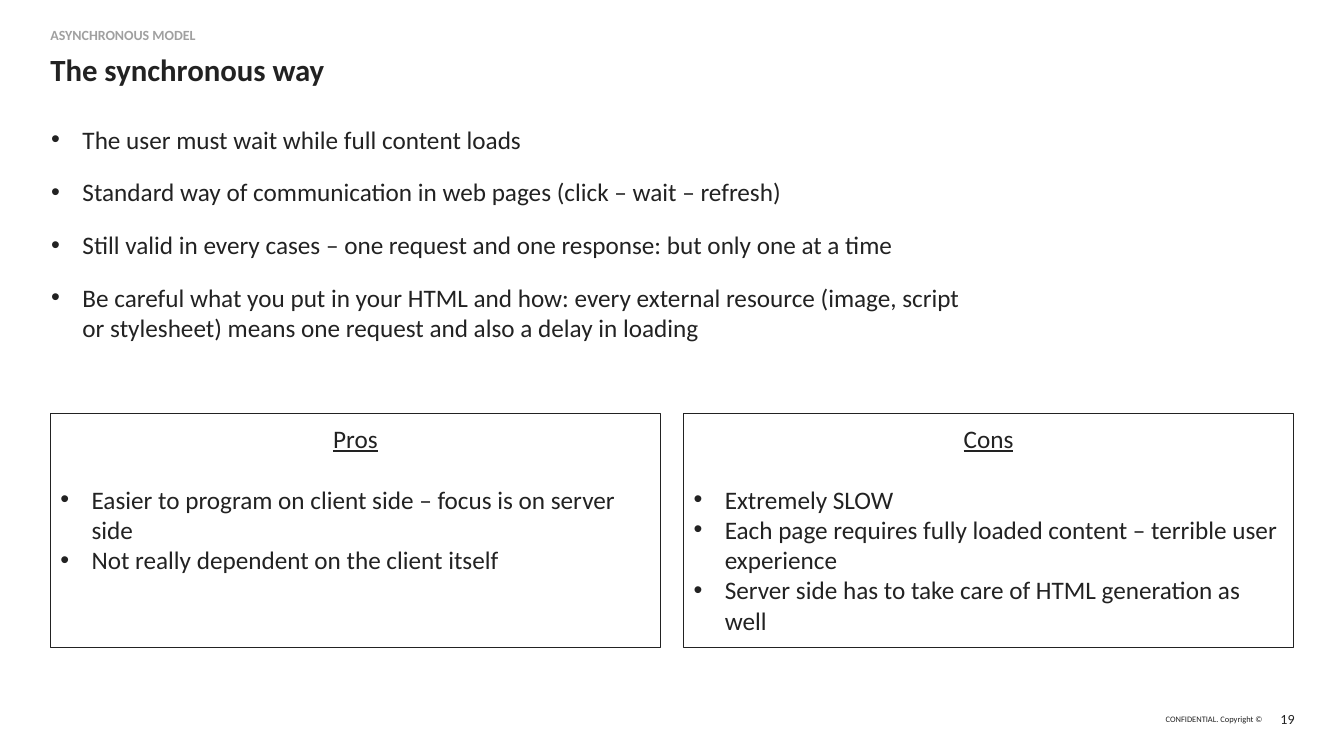
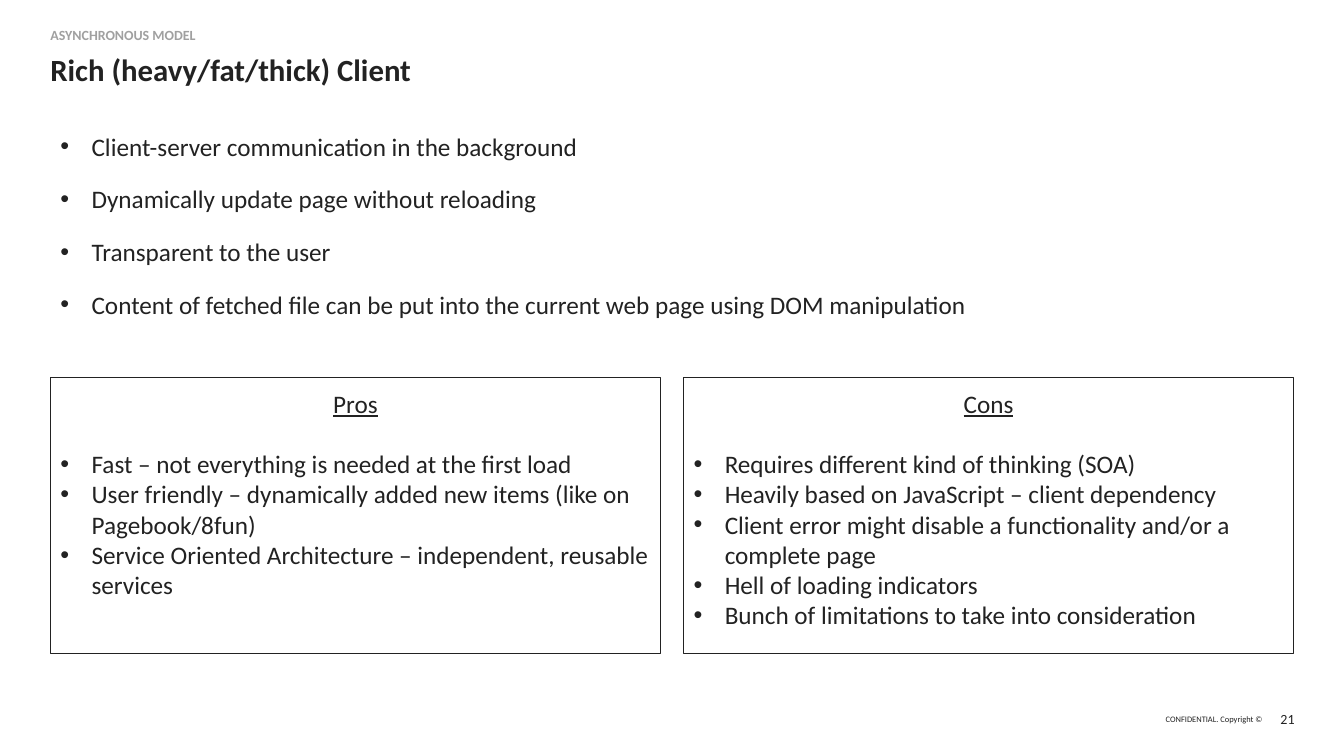
import dataclasses

import lxml.etree
import pptx
import pptx.dml.color
import pptx.enum.shapes
import pptx.enum.text
import pptx.oxml.ns
import pptx.util

Inches = pptx.util.Inches
Pt = pptx.util.Pt
Align = pptx.enum.text.PP_ALIGN
Anchor = pptx.enum.text.MSO_ANCHOR


@dataclasses.dataclass(frozen=True)
class Theme:
    """Colours, type sizes and measures shared by the slides."""

    font: str = "Calibri"
    ink: str = "222222"
    muted: str = "A0A0A0"
    title_size: float = 22
    body_size: float = 18
    small_size: float = 10
    legal_size: float = 6
    line_height: float = 21.6
    border: float = 0.75
    margin: float = 0.5
    content_width: float = 12.33
    gutter: float = 0.23
    indent: float = 0.31


THEME = Theme()

COMPARISONS = [
    {
        "number": "19",
        "title": "The synchronous way",
        "points": [
            "The user must wait while full content loads",
            "Standard way of communication in web pages (click – wait – refresh)",
            "Still valid in every cases – one request and one response: but only one at a time",
            "Be careful what you put in your HTML and how: every external resource (image, script "
            "or stylesheet) means one request and also a delay in loading",
        ],
        "points_box": (0.41, 1.18, 9.22, 2.5),
        "panels_top": 4.1,
        "panels_height": 2.32,
        "panels": {
            "Pros": [
                "Easier to program on client side – focus is on server side",
                "Not really dependent on the client itself",
            ],
            "Cons": [
                "Extremely SLOW",
                "Each page requires fully loaded content – terrible user experience",
                "Server side has to take care of HTML generation as well",
            ],
        },
    },
    {
        "number": "21",
        "title": "Rich (heavy/fat/thick) Client",
        "points": [
            "Client-server communication in the background",
            "Dynamically update page without reloading",
            "Transparent to the user",
            "Content of fetched file can be put into the current web page using DOM manipulation",
        ],
        "points_box": (0.5, 1.25, 9.22, 2.37),
        "panels_top": 3.75,
        "panels_height": 2.73,
        "panels": {
            "Pros": [
                "Fast – not everything is needed at the first load",
                "User friendly – dynamically added new items (like on Pagebook/8fun)",
                "Service Oriented Architecture – independent, reusable services",
            ],
            "Cons": [
                "Requires different kind of thinking (SOA)",
                "Heavily based on JavaScript – client dependency",
                "Client error might disable a functionality and/or a complete page",
                "Hell of loading indicators",
                "Bunch of limitations to take into consideration",
            ],
        },
    },
]


def colour(value):
    """Return the RGB colour for a hex value."""
    return pptx.dml.color.RGBColor.from_string(value)


def set_up_frame(frame, inset_x, inset_y, anchor=Anchor.TOP):
    """Wrap the text and set its insets and anchor."""
    frame.word_wrap = True
    frame.margin_left = frame.margin_right = Inches(inset_x)
    frame.margin_top = frame.margin_bottom = Inches(inset_y)
    frame.vertical_anchor = anchor


def add_text_box(slide, box, inset_x=0, inset_y=0, anchor=Anchor.TOP):
    """Add a text box and return its frame."""
    frame = slide.shapes.add_textbox(*map(Inches, box)).text_frame
    set_up_frame(frame, inset_x, inset_y, anchor)
    return frame


def write(paragraph, words, size, ink=THEME.ink, bold=False, underline=False, align=Align.LEFT):
    """Write one styled run into a paragraph."""
    paragraph.alignment = align
    run = paragraph.add_run()
    run.text = words
    run.font.name = THEME.font
    run.font.size = Pt(size)
    run.font.bold = bold
    run.font.underline = underline
    run.font.color.rgb = colour(ink)


def add_bullets(frame, points, before=0, after=0):
    """Write the points as bulleted paragraphs after any text present."""
    for point in points:
        first = frame.paragraphs[0]
        paragraph = frame.add_paragraph() if first.runs else first
        paragraph.space_before = Pt(before)
        paragraph.space_after = Pt(after)
        write(paragraph, point, THEME.body_size)
        properties = paragraph._p.get_or_add_pPr()
        properties.set("marL", str(Inches(THEME.indent)))
        properties.set("indent", str(-Inches(THEME.indent)))
        qn = pptx.oxml.ns.qn
        lxml.etree.SubElement(properties, qn("a:buFont")).set("typeface", "Arial")
        lxml.etree.SubElement(properties, qn("a:buChar")).set("char", "•")


def add_header(slide, title):
    """Add the section label and the slide title."""
    label = add_text_box(slide, (THEME.margin, 0.25, 3.95, 0.25)).paragraphs[0]
    label.line_spacing = 1.1
    label.space_before = Pt(6)
    write(label, "ASYNCHRONOUS MODEL", THEME.small_size, THEME.muted, bold=True)
    heading = add_text_box(slide, (THEME.margin, 0.5, THEME.content_width, 0.5))
    write(heading.paragraphs[0], title, THEME.title_size, bold=True)


def add_footer(slide, number):
    """Add the confidentiality notice and the page number."""
    parts = [
        ("CONFIDENTIAL. Copyright ©", THEME.legal_size, 11.49, 1.03),
        (number, THEME.small_size, 12.57, 0.27),
    ]
    for words, size, left, width in parts:
        frame = add_text_box(slide, (left, 7.01, width, 0.24), anchor=Anchor.MIDDLE)
        write(frame.paragraphs[0], words, size, align=Align.RIGHT)


def add_panel(slide, box, heading, points):
    """Add an outlined panel with a centred heading and bullets."""
    panel = slide.shapes.add_shape(pptx.enum.shapes.MSO_SHAPE.RECTANGLE, *map(Inches, box))
    panel.shadow.inherit = False
    panel.fill.background()
    panel.line.color.rgb = colour(THEME.ink)
    panel.line.width = Pt(THEME.border)
    frame = panel.text_frame
    set_up_frame(frame, 0.1, 0.1)
    caption = frame.paragraphs[0]
    caption.space_after = Pt(THEME.line_height)
    write(caption, heading, THEME.body_size, underline=True, align=Align.CENTER)
    add_bullets(frame, points)


def add_panels(slide, box, panels):
    """Share the box equally among the panels."""
    left, top, width, height = box
    panel_width = (width - THEME.gutter * (len(panels) - 1)) / len(panels)
    for index, (heading, points) in enumerate(panels.items()):
        panel_left = left + index * (panel_width + THEME.gutter)
        add_panel(slide, (panel_left, top, panel_width, height), heading, points)


def add_comparison_slide(deck, comparison):
    """Add a slide with introductory points above pros and cons."""
    slide = deck.slides.add_slide(deck.slide_layouts[6])
    add_header(slide, comparison["title"])
    points = add_text_box(slide, comparison["points_box"], 0.1, 0.05)
    add_bullets(points, comparison["points"], before=6, after=10)
    panels_box = (
        THEME.margin,
        comparison["panels_top"],
        THEME.content_width,
        comparison["panels_height"],
    )
    add_panels(slide, panels_box, comparison["panels"])
    add_footer(slide, comparison["number"])


def main():
    """Build and save the deck."""
    deck = pptx.Presentation()
    deck.slide_width = Inches(13.33)
    deck.slide_height = Inches(7.5)
    for comparison in COMPARISONS:
        add_comparison_slide(deck, comparison)
    deck.save("out.pptx")


if __name__ == "__main__":
    main()
